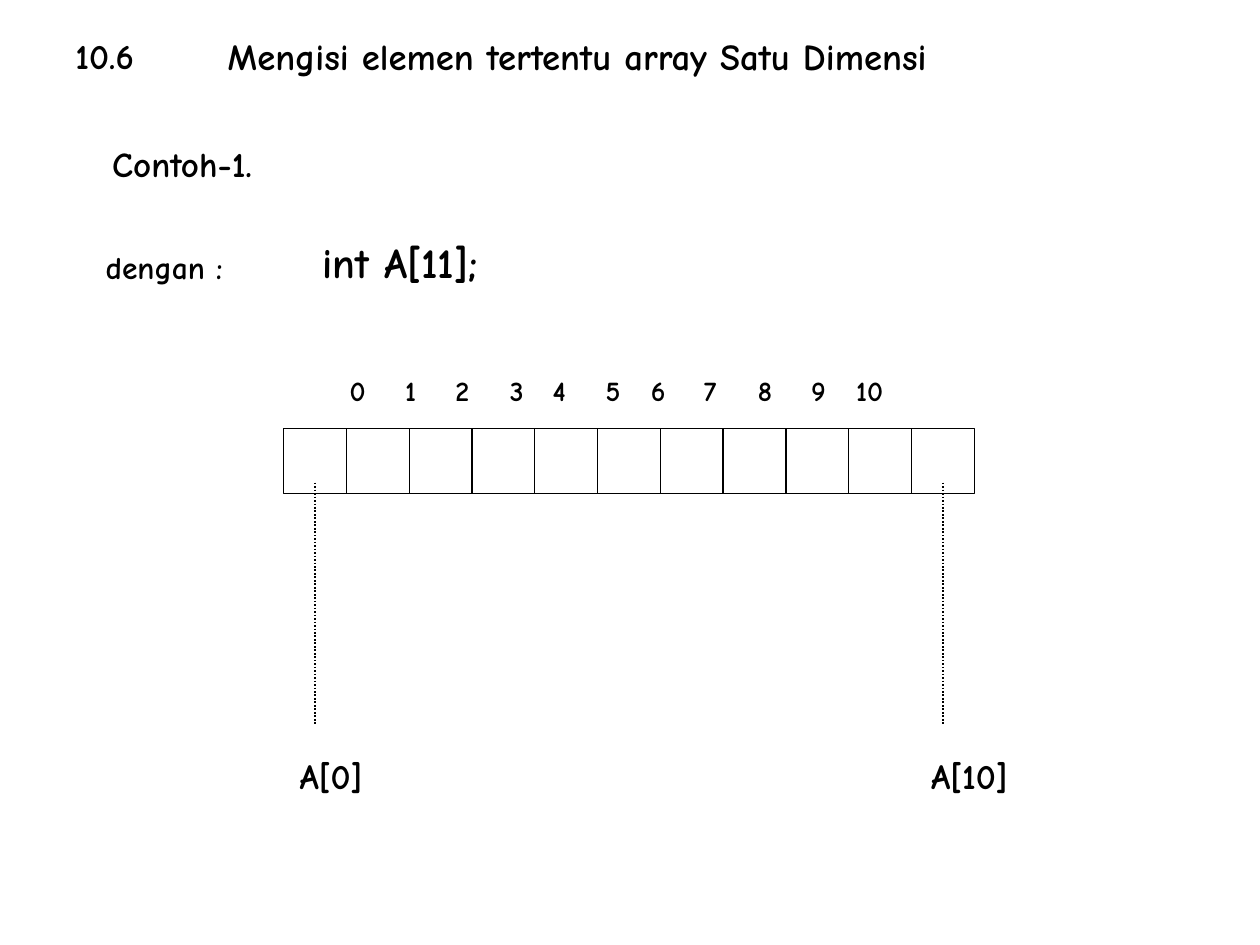
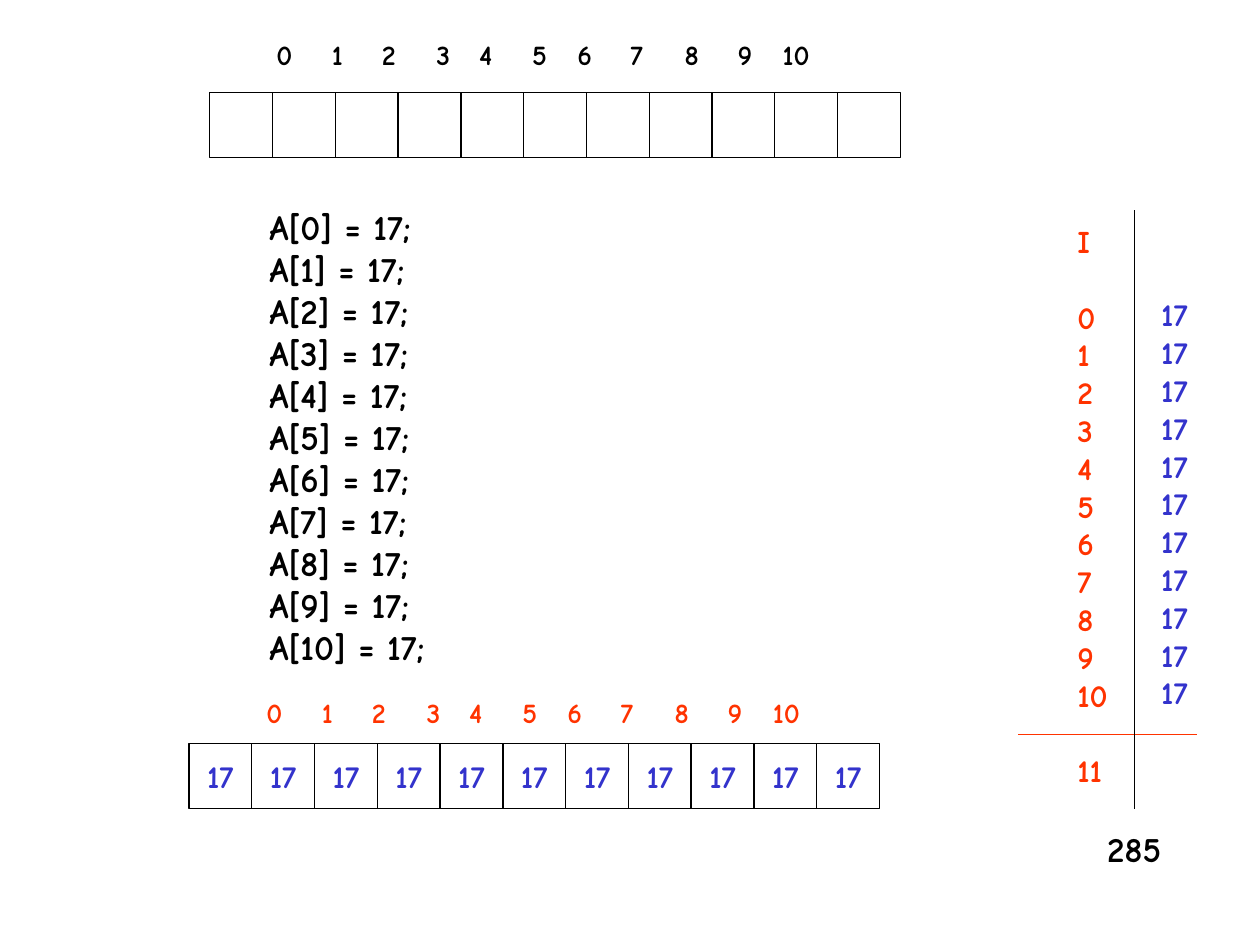
from pptx import Presentation
from pptx.dml.color import RGBColor
from pptx.enum.dml import MSO_LINE_DASH_STYLE as Dash
from pptx.enum.shapes import MSO_CONNECTOR as Connector, MSO_SHAPE as Preset
from pptx.enum.text import MSO_ANCHOR as Anchor, MSO_AUTO_SIZE as AutoSize, PP_ALIGN as Align
from pptx.oxml.ns import qn
from pptx.util import Cm, Pt
from lxml.etree import SubElement

BLACK = RGBColor(0x00, 0x00, 0x00)
BLUE = RGBColor(0x33, 0x33, 0xCC)
RED = RGBColor(0xFF, 0x33, 0x00)

COUNT = 11
VALUE = "17"
INDEXES = [str(index) for index in range(COUNT)]
INDEX_TABS = [1.12, 2.13, 3.23, 4.09, 5.16, 6.07, 7.14, 8.23, 9.3, 10.21]


class ArrayDeck:
    font = "Comic Neue"
    row_width = 13.92
    cell_width = row_width / COUNT
    cell_height = 1.31

    def __init__(self):
        self.presentation = Presentation()
        self.presentation.slide_width = Cm(25.4)
        self.presentation.slide_height = Cm(19.05)
        self.slide = None

    def new_slide(self):
        self.slide = self.presentation.slides.add_slide(self.presentation.slide_layouts[6])

    def add_run(self, paragraph, text, size, color):
        run = paragraph.add_run()
        run.text = text
        run.font.name = self.font
        run.font.size = Pt(size)
        run.font.bold = True
        run.font.color.rgb = color

    def text(self, left, top, width, height, lines, size=20, color=BLACK, wrap=False, gaps=()):
        box = self.slide.shapes.add_textbox(Cm(left), Cm(top), Cm(width), Cm(height))
        frame = box.text_frame
        frame.word_wrap = wrap
        frame.auto_size = AutoSize.SHAPE_TO_FIT_TEXT
        for number, line in enumerate(lines):
            paragraph = frame.paragraphs[0] if number == 0 else frame.add_paragraph()
            if number in gaps:
                paragraph.space_before = Pt(21.6)
            self.add_run(paragraph, line, size, color)
        return frame

    def index_labels(self, left, top, color=BLACK):
        frame = self.text(left, top, 11.6, 0.94, ["\t".join(INDEXES)], 16, color, wrap=True)
        properties = frame.paragraphs[0]._p.get_or_add_pPr()
        tab_list = SubElement(properties, qn("a:tabLst"))
        for position in INDEX_TABS:
            SubElement(tab_list, qn("a:tab"), pos=str(Cm(position)), algn="l")

    def array_row(self, left, top, value=None):
        for index in range(COUNT):
            cell = self.slide.shapes.add_shape(
                Preset.RECTANGLE, Cm(left + index * self.cell_width), Cm(top),
                Cm(self.cell_width), Cm(self.cell_height))
            cell.shadow.inherit = False
            cell.fill.background()
            cell.line.color.rgb = BLACK
            cell.line.width = Pt(0.75)
            if value:
                frame = cell.text_frame
                frame.word_wrap = False
                frame.vertical_anchor = Anchor.MIDDLE
                frame.paragraphs[0].alignment = Align.CENTER
                self.add_run(frame.paragraphs[0], value, 18, BLUE)

    def line(self, start_x, start_y, end_x, end_y, color=BLACK, width=0.75, dash=None):
        connector = self.slide.shapes.add_connector(
            Connector.STRAIGHT, Cm(start_x), Cm(start_y), Cm(end_x), Cm(end_y))
        connector.line.color.rgb = color
        connector.line.width = Pt(width)
        if dash:
            connector.line.dash_style = dash
        element = connector._element
        SubElement(element.spPr, qn("a:effectLst"))
        element.remove(element.find(qn("p:style")))


def build_declaration(deck):
    deck.new_slide()
    deck.text(1.27, 0.58, 1.8, 1.12, ["10.6"])
    deck.text(4.34, 0.56, 14.9, 1.14, ["Mengisi elemen tertentu array Satu Dimensi"], 21)
    deck.text(2.01, 2.74, 3.5, 1.12, ["Contoh-1."])
    deck.text(1.88, 4.88, 3, 1.02, ["dengan :"], 18)
    deck.text(6.25, 4.65, 3.85, 1.27, ["int A[11];"], 24)

    row_left = 5.72
    deck.array_row(row_left, 8.64)
    deck.index_labels(6.8, 7.4)
    for index, label_left, label_width in ((0, 5.79, 1.85), (COUNT - 1, 18.52, 2.15)):
        center = row_left + (index + 0.5) * deck.cell_width
        deck.line(center, 9.73, center, 14.6, width=1, dash=Dash.ROUND_DOT)
        deck.text(label_left, 15.09, label_width, 1.12, [f"A[{index}]"])


def build_assignment(deck):
    deck.new_slide()
    deck.array_row(4.23, 1.87)
    deck.index_labels(5.32, 0.64)
    deck.text(5.18, 4.02, 3.85, 9.58, [f"A[{index}] = {VALUE};" for index in INDEXES])

    deck.array_row(3.81, 14.99, VALUE)
    deck.index_labels(5.12, 13.89, RED)

    deck.text(21.47, 4.35, 1.2, 11.68, ["I", *INDEXES, str(COUNT)], 18, RED, gaps=(1, COUNT + 1))
    deck.line(20.53, 14.81, 24.13, 14.81, RED)
    deck.line(22.87, 4.24, 22.87, 16.3)
    deck.text(23.16, 5.83, 1.1, 8.64, [VALUE] * COUNT, 18, BLUE)
    deck.text(22.07, 16.56, 1.7, 1.12, ["285"])


def main():
    deck = ArrayDeck()
    build_declaration(deck)
    build_assignment(deck)
    deck.presentation.save("out.pptx")


if __name__ == "__main__":
    main()
